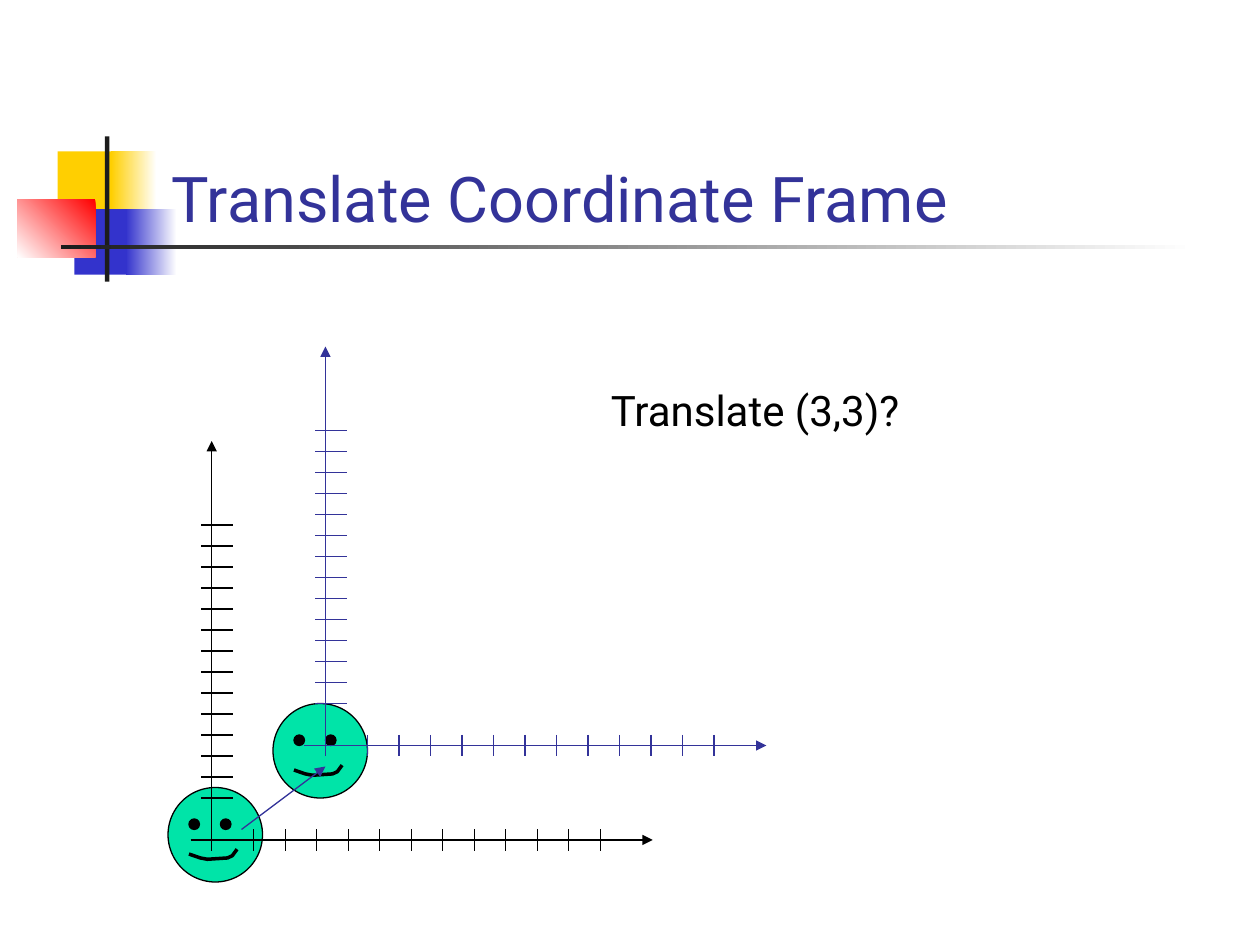
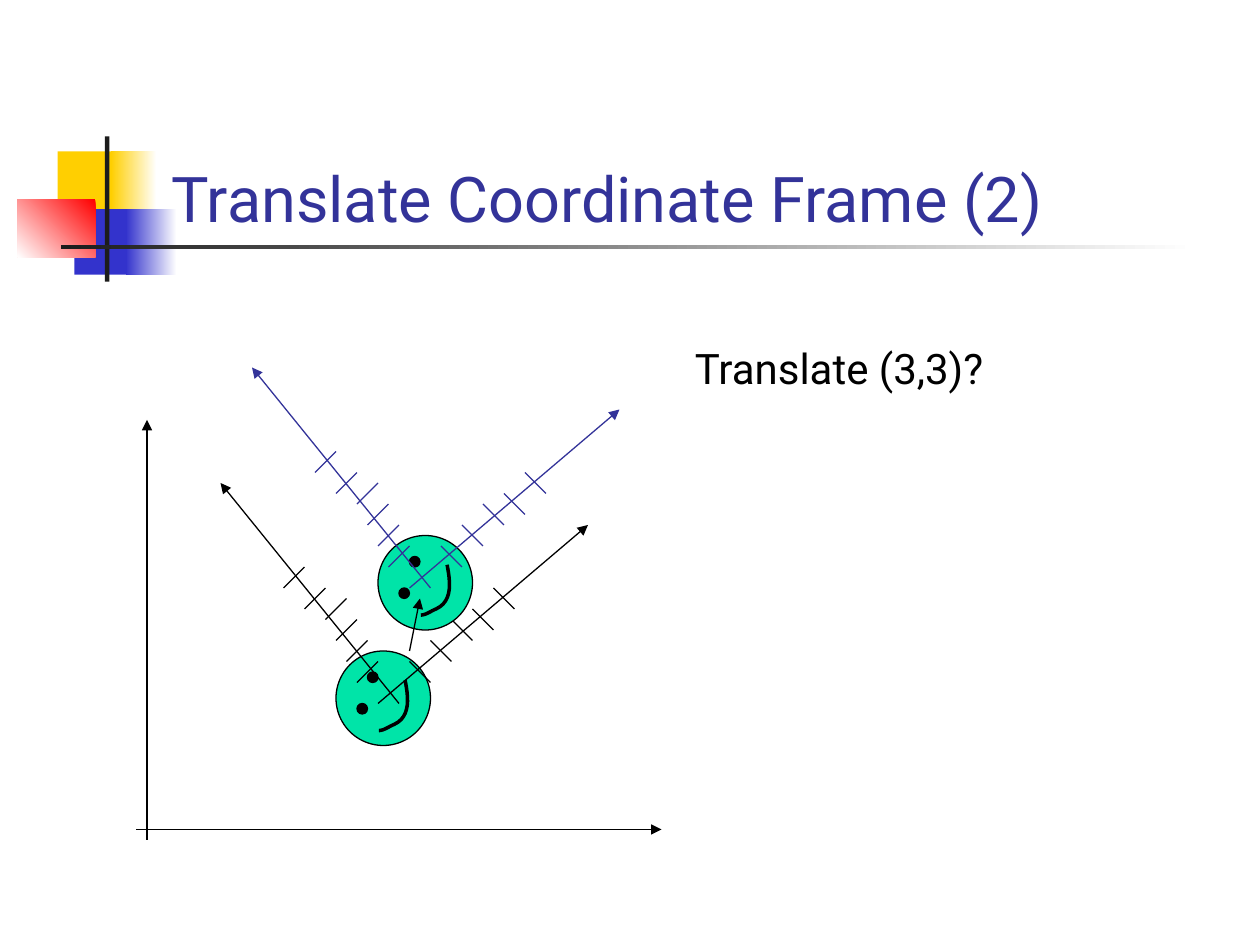
from lxml.etree import SubElement
from pptx import Presentation
from pptx.dml.color import RGBColor
from pptx.enum.shapes import MSO_CONNECTOR, MSO_SHAPE
from pptx.enum.text import MSO_ANCHOR, MSO_AUTO_SIZE
from pptx.oxml.ns import qn
from pptx.util import Pt

HUES = {
    "white": "FFFFFF", "black": "000000", "ink": "1C1C1C", "navy": "333399",
    "gold": "FFCF01", "blue": "3333CC", "red": "FF0000", "mint": "00E4A8",
}
FONT = "Roboto"
HEAD = {
    "box": (91, 48, 613, 90), "size": 36, "hue": "navy",
    "frame": {"word_wrap": True, "vertical_anchor": MSO_ANCHOR.BOTTOM},
}
NOTE = {
    "size": 24, "hue": "black",
    "frame": {"word_wrap": False, "auto_size": MSO_AUTO_SIZE.SHAPE_TO_FIT_TEXT},
}
DECOR = [
    ((33, 86.5, 34.5, 37.5), ("gold",), 0),
    ((63.5, 86.5, 26, 37.5), ("white", "gold"), 180),
    ((42.5, 119.5, 33, 37.5), ("blue",), 0),
    ((72, 119.5, 29, 37.5), ("white", "blue"), 180),
    ((10, 114, 44.5, 33), ("red", "white"), 225),
    ((60, 78, 2.5, 83), ("ink",), 0),
    ((34.75, 140, 648, 2.5), ("white", "ink"), 180),
]


def bend(a, b, c, d, steps=12):
    curve = []
    for i in range(steps + 1):
        t = i / steps
        parts = ((1 - t) ** 3, 3 * t * (1 - t) ** 2, 3 * t * t * (1 - t), t ** 3)
        curve.append(tuple(sum(w * p[k] for w, p in zip(parts, (a, b, c, d)))
                           for k in (0, 1)))
    return curve


LEVEL = {
    "eyes": [(12, 18), (30, 18)],
    "mouth": [(12, 38), (18.5, 40.25), (22.5, 41), (34, 40.25), (36.75, 39), (39.5, 35.25)],
}
TILTED = {
    "eyes": [(12, 30), (18, 12)],
    "mouth": bend((39.5, 16.75), (41.25, 26), (43, 37.5), (33.25, 42))
    + bend((33.25, 42), (30, 43.25), (27.5, 45.5), (24.5, 45.5))[1:],
}
EAST = [(18, -24), (30, -36), (42, -48), (54, -54), (66, -66)]
WEST = [(-12, -12), (-18, -24), (-24, -36), (-30, -48), (-42, -54), (-54, -66)]


def color(hue):
    return RGBColor.from_string(HUES[hue])


def assign(item, values):
    for name, value in values.items():
        setattr(item, name, value)


def stroke(shape, hue, width=0.75):
    shape.line.color.rgb = color(hue)
    shape.line.width = Pt(width)


def block(shapes, kind, box, hues, angle=0, edge=None):
    shape = shapes.add_shape(kind, *map(Pt, box))
    shape.shadow.inherit = False
    if len(hues) == 1:
        shape.fill.solid()
        shape.fill.fore_color.rgb = color(hues[0])
    else:
        shape.fill.gradient()
        shape.fill.gradient_angle = angle
        for stop, hue in zip(shape.fill.gradient_stops, hues):
            stop.color.rgb = color(hue)
    if edge:
        stroke(shape, edge)
    else:
        shape.line.fill.background()


def label(slide, text, box, style):
    frame = slide.shapes.add_textbox(*map(Pt, box)).text_frame
    assign(frame, style["frame"])
    para = frame.paragraphs[0]
    para.text = text
    assign(para.font, {"name": FONT, "size": Pt(style["size"])})
    para.font.color.rgb = color(style["hue"])


def line(shapes, start, end, hue, arrow=False):
    link = shapes.add_connector(MSO_CONNECTOR.STRAIGHT, *map(Pt, (*start, *end)))
    stroke(link, hue)
    if arrow:
        SubElement(link.line._get_or_add_ln(), qn("a:tailEnd"), type="triangle")
    SubElement(link._element.spPr, qn("a:effectLst"))


def face(slide, x, y, look):
    shapes = slide.shapes.add_group_shape().shapes
    block(shapes, MSO_SHAPE.OVAL, (x, y, 54, 54), ("mint",), edge="black")
    for dx, dy in look["eyes"]:
        block(shapes, MSO_SHAPE.OVAL, (x + dx, y + dy, 6, 6), ("black",), edge="black")
    first, *rest = [(Pt(x + dx), Pt(y + dy)) for dx, dy in look["mouth"]]
    pen = shapes.build_freeform(*first)
    pen.add_line_segments(rest, close=False)
    mouth = pen.convert_to_shape()
    mouth.shadow.inherit = False
    mouth.fill.background()
    stroke(mouth, "black", 2)


def upright(slide, x, y, hue):
    shapes = slide.shapes.add_group_shape().shapes
    line(shapes, (x, y + 6), (x, y - 228), hue, True)
    line(shapes, (x - 12, y), (x + 252, y), hue, True)
    for i in range(12):
        tick = x + 24 + 18 * i
        line(shapes, (tick, y - 6), (tick, y + 6), hue)
    for i in range(14):
        tick = y - 24 - 12 * i
        line(shapes, (x - 6, tick), (x + 12, tick), hue)


def turned(slide, x, y, hue):
    shapes = slide.shapes.add_group_shape().shapes
    line(shapes, (x, y), (x + 120, y - 102), hue, True)
    line(shapes, (x + 12, y), (x - 90, y - 126), hue, True)
    for ticks, slope in ((EAST, 12), (WEST, -12)):
        for dx, dy in ticks:
            line(shapes, (x + dx, y + dy), (x + dx + 12, y + dy + slope), hue)


def start(deck, title):
    slide = deck.slides.add_slide(deck.slide_layouts[6])
    for box, hues, angle in DECOR:
        block(slide.shapes, MSO_SHAPE.RECTANGLE, box, hues, angle)
    label(slide, title, HEAD["box"], HEAD)
    return slide


def main():
    deck = Presentation()
    assign(deck, {"slide_width": Pt(720), "slide_height": Pt(540)})
    query = "Translate (3,3)?"

    slide = start(deck, "Translate Coordinate Frame")
    face(slide, 96, 450, LEVEL)
    upright(slide, 121, 480, "black")
    label(slide, query, (342, 216, 190, 36), NOTE)
    face(slide, 156, 402, LEVEL)
    upright(slide, 186, 426, "navy")
    line(slide.shapes, (138, 474), (186, 438), "navy", True)

    slide = start(deck, "Translate Coordinate Frame (2)")
    face(slide, 192, 372, TILTED)
    line(slide.shapes, (78, 474), (378, 474), "black", True)
    line(slide.shapes, (84, 480), (84, 240), "black", True)
    turned(slide, 216, 402, "black")
    label(slide, query, (390, 192, 190, 36), NOTE)
    face(slide, 216, 306, TILTED)
    turned(slide, 234, 336, "navy")
    line(slide.shapes, (234, 372), (240, 342), "black", True)

    deck.save("out.pptx")


if __name__ == "__main__":
    main()
